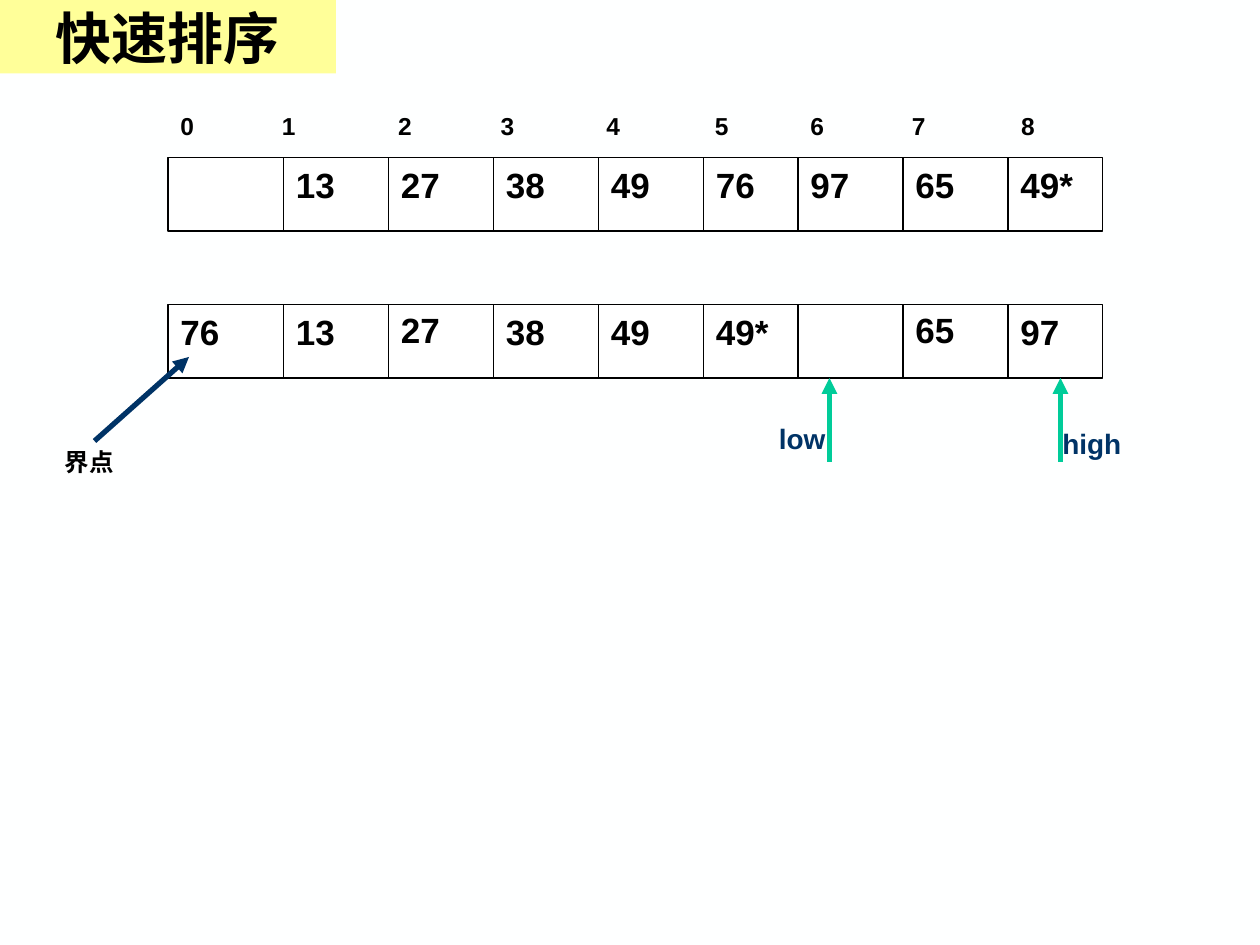
from dataclasses import dataclass

from lxml import etree
from pptx import Presentation
from pptx.dml.color import RGBColor
from pptx.enum.shapes import MSO_CONNECTOR, MSO_SHAPE
from pptx.enum.text import MSO_ANCHOR, MSO_AUTO_SIZE, PP_ALIGN
from pptx.oxml.ns import qn
from pptx.util import Pt


@dataclass(frozen=True)
class Theme:
    ink: RGBColor = RGBColor(0x00, 0x00, 0x00)
    cell: RGBColor = RGBColor(0xFF, 0xFF, 0xFF)
    background: RGBColor = RGBColor(0xFE, 0xFF, 0xFF)
    banner: RGBColor = RGBColor(0xFF, 0xFF, 0x99)
    navy: RGBColor = RGBColor(0x00, 0x33, 0x66)
    green: RGBColor = RGBColor(0x00, 0xCC, 0x99)
    font: str = "Arial"
    title_font: str = "Times New Roman"
    title_size: int = 32
    value_size: int = 20
    pointer_size: int = 16
    label_size: int = 14


theme = Theme()


def add_label(text, left, top, width, height, size, color=theme.ink, tabs=()):
    box = slide.shapes.add_textbox(Pt(left), Pt(top), Pt(width), Pt(height))
    frame = box.text_frame
    frame.word_wrap = True
    frame.text = text
    paragraph = frame.paragraphs[0]
    if tabs:
        tab_list = etree.SubElement(paragraph._p.get_or_add_pPr(), qn("a:tabLst"))
        for stop in tabs:
            etree.SubElement(tab_list, qn("a:tab"), pos=str(Pt(stop)), algn="l")
    font = paragraph.runs[0].font
    font.name, font.size, font.bold = theme.font, Pt(size), True
    font.color.rgb = color


def add_line(start, end, color, width, arrow=False):
    line = slide.shapes.add_connector(
        MSO_CONNECTOR.STRAIGHT, *(Pt(value) for value in (*start, *end)))
    line.line.color.rgb = color
    line.line.width = Pt(width)
    if arrow:
        etree.SubElement(line.line._get_or_add_ln(), qn("a:tailEnd"), type="triangle")
    etree.SubElement(line._element.spPr, qn("a:effectLst"))


deck = Presentation()
deck.slide_width, deck.slide_height = Pt(720), Pt(540)
slide = deck.slides.add_slide(deck.slide_layouts[5])
slide.background.fill.solid()
slide.background.fill.fore_color.rgb = theme.background

# Title banner
title = slide.shapes.title
title.left, title.top, title.width, title.height = Pt(0), Pt(0), Pt(192), Pt(42)
title.fill.solid()
title.fill.fore_color.rgb = theme.banner
title.text_frame.text = "快速排序"
title.text_frame.auto_size = MSO_AUTO_SIZE.NONE
title.text_frame.vertical_anchor = MSO_ANCHOR.MIDDLE
heading = title.text_frame.paragraphs[0]
heading.alignment = PP_ALIGN.CENTER
heading_font = heading.runs[0].font
heading_font.name, heading_font.size = theme.title_font, Pt(theme.title_size)
heading_font.bold = True
heading_font.color.rgb = theme.ink

# Array before and after the partition step
columns = [96, 162, 222, 282, 342, 402, 456, 516, 576]
array_width, array_height = 534, 42
before_top, after_top = 90, 174
arrays = [
    (before_top, ["", "13", "27", "38", "49", "76", "97", "65", "49*"]),
    (after_top, ["76", "13", "27", "38", "49", "49*", "", "65", "97"]),
]
raised = {(after_top, 2), (after_top, 7)}
for top, values in arrays:
    bottom = top + array_height
    frame = slide.shapes.add_shape(
        MSO_SHAPE.RECTANGLE, Pt(columns[0]), Pt(top), Pt(array_width), Pt(array_height))
    frame.shadow.inherit = False
    frame.fill.solid()
    frame.fill.fore_color.rgb = theme.cell
    frame.line.color.rgb = theme.ink
    frame.line.width = Pt(0.75)
    for left in columns[1:]:
        add_line((left, top), (left, bottom), theme.ink, 0.75)
    for index, (left, value) in enumerate(zip(columns, values)):
        if value:
            value_top = top - 1.5 if (top, index) in raised else top
            add_label(value, left, value_top, 48, 31.5, theme.value_size)

# Index row
index_stops = [58, 124.5, 183, 243.5, 305.5, 360, 418, 480.5]
add_label("\t".join(str(index) for index in range(9)), columns[0], 60,
          array_width, 24.5, theme.label_size, tabs=index_stops)

# Low and high pointers
after_bottom = after_top + array_height
for name, arrow_x, left, top in [("low", 474, 438, 237.5), ("high", 606, 600, 240)]:
    add_line((arrow_x, 264), (arrow_x, after_bottom), theme.green, 3, arrow=True)
    add_label(name, left, top, 66, 26.5, theme.pointer_size, theme.navy)

# Pivot note
add_label("界点", 30, 252, 60, 24.5, theme.label_size)
add_line((54, 252), (108, 204), theme.navy, 3, arrow=True)

deck.save("out.pptx")
